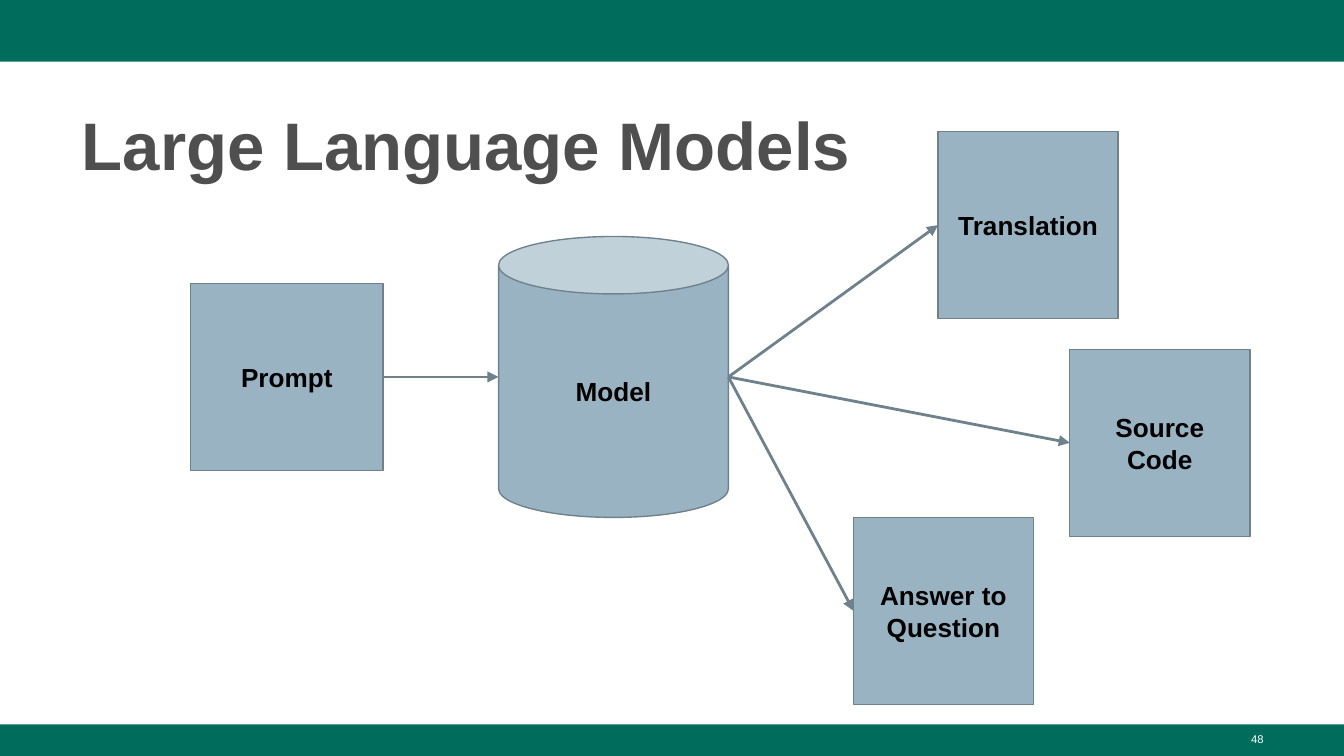
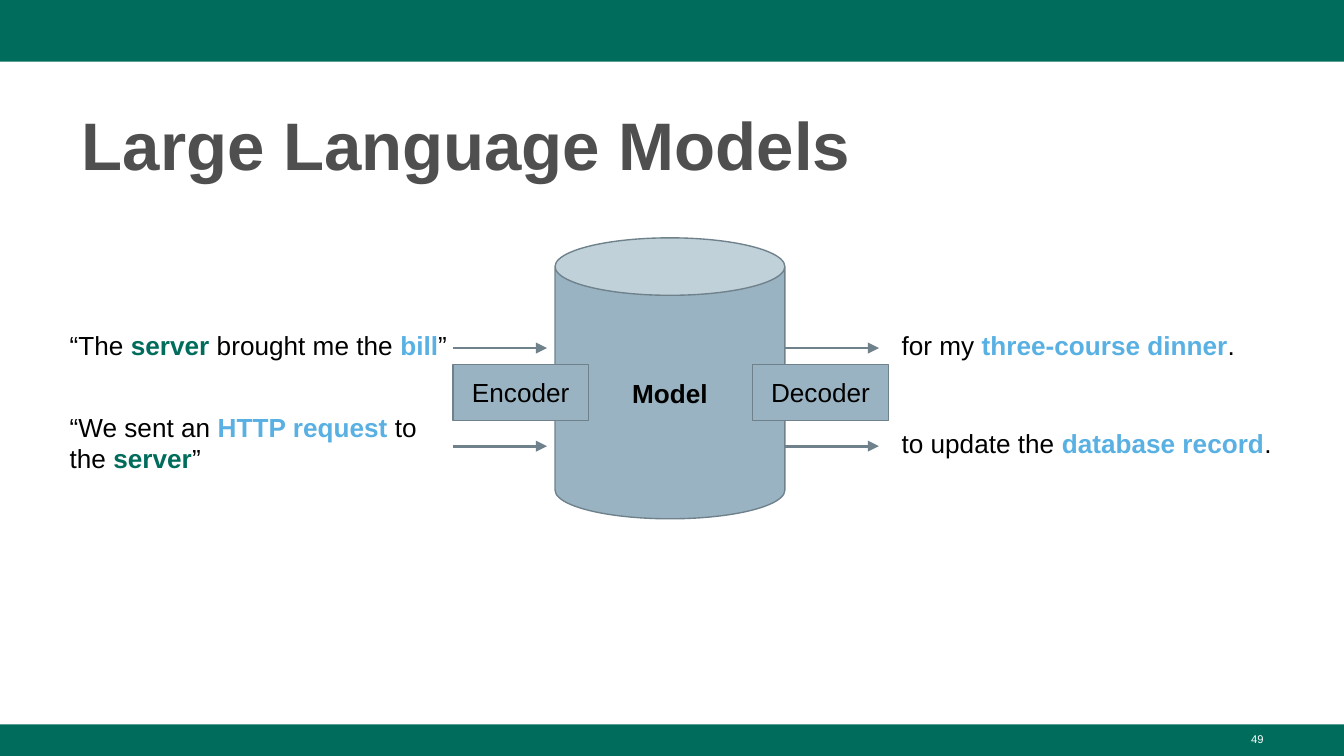
import dataclasses
import typing

import lxml.etree
import pptx
import pptx.dml.color
import pptx.enum.shapes
import pptx.enum.text
import pptx.oxml.ns
import pptx.presentation
import pptx.shapes.autoshape
import pptx.shapes.base
import pptx.slide
import pptx.text.text
import pptx.util

Inches = pptx.util.Inches
Kind = pptx.enum.shapes.MSO_SHAPE
Align = pptx.enum.text.PP_ALIGN
Anchor = pptx.enum.text.MSO_ANCHOR
Auto = pptx.shapes.autoshape.Shape

FONT = "Arial"
GREEN = "006C5C"
WHITE = "FFFFFF"
GREY = "4F4F4F"
STEEL = "99B3C2"
EDGE = "6F828C"
BLACK = "000000"
BLUE = "58B0E3"
WIDTH = 10
HEIGHT = WIDTH * 9 / 16


class Run(typing.NamedTuple):
    text: str
    color: str = BLACK
    bold: bool = False


class Spot(typing.NamedTuple):
    x: float
    y: float


@dataclasses.dataclass(frozen=True)
class Area:
    left: float
    top: float
    width: float
    height: float

    def spans(self) -> list[pptx.util.Length]:
        return [Inches(v) for v in (self.left, self.top, self.width, self.height)]


@dataclasses.dataclass(frozen=True)
class Node:
    text: str
    area: Area
    kind: Kind = Kind.RECTANGLE
    bold: bool = True


@dataclasses.dataclass(frozen=True)
class Note:
    runs: list[Run]
    area: Area


BANDS = [Area(0, 0, WIDTH, 0.46), Area(0, 5.39, WIDTH, HEIGHT - 5.39)]
TITLE = Note([Run("Large Language Models", GREY, True)], Area(0.51, 0.67, 8.99, 0.73))
FOOT = Area(7.17, 5.4, 2.33, 0.23)

PROMPT = Node("Prompt", Area(1.42, 2.11, 1.43, 1.39))
MODEL = Node("Model", Area(3.71, 1.76, 1.71, 2.09), Kind.CAN)
GOALS = [
    Node(text, Area(left, top, 1.34, 1.39))
    for text, left, top in [
        ("Translation", 6.98, 0.98),
        ("Source Code", 7.96, 2.6),
        ("Answer to Question", 6.35, 3.85),
    ]
]

CORE = Node("Model", Area(4.13, 1.77, 1.71, 2.09), Kind.CAN)
CODERS = [
    Node(text, Area(left, 2.71, 1.01, 0.42), bold=False)
    for text, left in [("Encoder", 3.37), ("Decoder", 5.6)]
]
NOTES = [
    Note(
        [
            Run("“The "),
            Run("server", GREEN, True),
            Run(" brought me the "),
            Run("bill", BLUE, True),
            Run("”"),
        ],
        Area(0.42, 2.35, 3.07, 0.36),
    ),
    Note(
        [
            Run("“We sent an "),
            Run("HTTP request ", BLUE, True),
            Run("to the "),
            Run("server", GREEN, True),
            Run("”"),
        ],
        Area(0.42, 2.96, 3.07, 0.58),
    ),
    Note(
        [Run("for my "), Run("three-course dinner", BLUE, True), Run(".")],
        Area(6.61, 2.35, 2.81, 0.36),
    ),
    Note(
        [Run("to update the "), Run("database record", BLUE, True), Run(".")],
        Area(6.61, 3.08, 3.3, 0.36),
    ),
]
STARTS = [3.37, 5.84]
ROWS = [2.59, 3.32]
REACH = 0.7


def tint(code: str) -> pptx.dml.color.RGBColor:
    return pptx.dml.color.RGBColor.from_string(code)


def write(
    shape: pptx.shapes.base.BaseShape,
    runs: list[Run],
    size: float = 14,
    align: Align = Align.LEFT,
    pad: float = 0.1,
) -> pptx.text.text._Paragraph:
    frame = shape.text_frame
    frame.word_wrap = True
    frame.margin_left = frame.margin_right = Inches(0.1)
    frame.margin_top = frame.margin_bottom = Inches(pad)
    para = frame.paragraphs[0]
    para.alignment = align
    para.font.name = FONT
    para.font.size = pptx.util.Pt(size)
    parts = [para.add_run() for _ in runs]
    for part, run in zip(parts, runs):
        part.text = run.text
        font = part.font if len(runs) > 1 else para.font
        font.bold = run.bold
        font.color.rgb = tint(run.color)
    return para


def block(
    slide: pptx.slide.Slide, kind: Kind, area: Area, fill: str, edge: str = ""
) -> Auto:
    shape = slide.shapes.add_shape(kind, *area.spans())
    shape.shadow.inherit = False
    shape.fill.solid()
    shape.fill.fore_color.rgb = tint(fill)
    if edge:
        shape.line.color.rgb = tint(edge)
        shape.line.width = pptx.util.Pt(0.75)
    else:
        shape.line.fill.background()
    return shape


def draw(slide: pptx.slide.Slide, node: Node) -> Auto:
    shape = block(slide, node.kind, node.area, STEEL, EDGE)
    shape.text_frame.vertical_anchor = Anchor.MIDDLE
    write(shape, [Run(node.text, BLACK, node.bold)], align=Align.CENTER)
    return shape


def note(
    slide: pptx.slide.Slide,
    item: Note,
    size: float = 14,
    pad: float = 0.1,
    align: Align = Align.LEFT,
) -> pptx.text.text._Paragraph:
    box = slide.shapes.add_textbox(*item.area.spans())
    return write(box, item.runs, size, align, pad)


def arrow(
    slide: pptx.slide.Slide,
    start: Spot,
    end: Spot,
    source: Auto | None = None,
    target: Auto | None = None,
) -> None:
    link = slide.shapes.add_connector(
        pptx.enum.shapes.MSO_CONNECTOR.STRAIGHT,
        *[Inches(v) for v in (*start, *end)],
    )
    if source is not None:
        link.begin_connect(source, 3)
    if target is not None:
        link.end_connect(target, 1)
    link.line.color.rgb = tint(EDGE)
    link.line.width = pptx.util.Pt(1.5)
    name = pptx.oxml.ns.qn
    props = link.element.spPr
    lxml.etree.SubElement(props.find(name("a:ln")), name("a:tailEnd"), type="triangle")
    lxml.etree.SubElement(props, name("a:effectLst"))


def side(area: Area, right: bool = False) -> Spot:
    return Spot(area.left + area.width * right, area.top + area.height / 2)


def start(deck: pptx.presentation.Presentation, page: int) -> pptx.slide.Slide:
    slide = deck.slides.add_slide(deck.slide_layouts[6])
    for band in BANDS:
        block(slide, Kind.RECTANGLE, band, GREEN)
    note(slide, Note([Run(str(page), WHITE)], FOOT), 6, 0.05, Align.RIGHT)
    note(slide, TITLE, 36, 0.05).line_spacing = 1.08
    return slide


def tasks(deck: pptx.presentation.Presentation) -> None:
    slide = start(deck, 48)
    prompt = draw(slide, PROMPT)
    draw(slide, MODEL)
    arrow(slide, side(PROMPT.area, True), side(MODEL.area), source=prompt)
    for goal in GOALS:
        shape = draw(slide, goal)
        arrow(slide, side(MODEL.area, True), side(goal.area), target=shape)


def coding(deck: pptx.presentation.Presentation) -> None:
    slide = start(deck, 49)
    draw(slide, CORE)
    for item in NOTES:
        note(slide, item)
    for left in STARTS:
        for row in ROWS:
            arrow(slide, Spot(left, row), Spot(left + REACH, row))
    for coder in CODERS:
        draw(slide, coder)


def main() -> None:
    deck = pptx.Presentation()
    deck.slide_width = Inches(WIDTH)
    deck.slide_height = Inches(HEIGHT)
    tasks(deck)
    coding(deck)
    deck.save("out.pptx")


if __name__ == "__main__":
    main()
